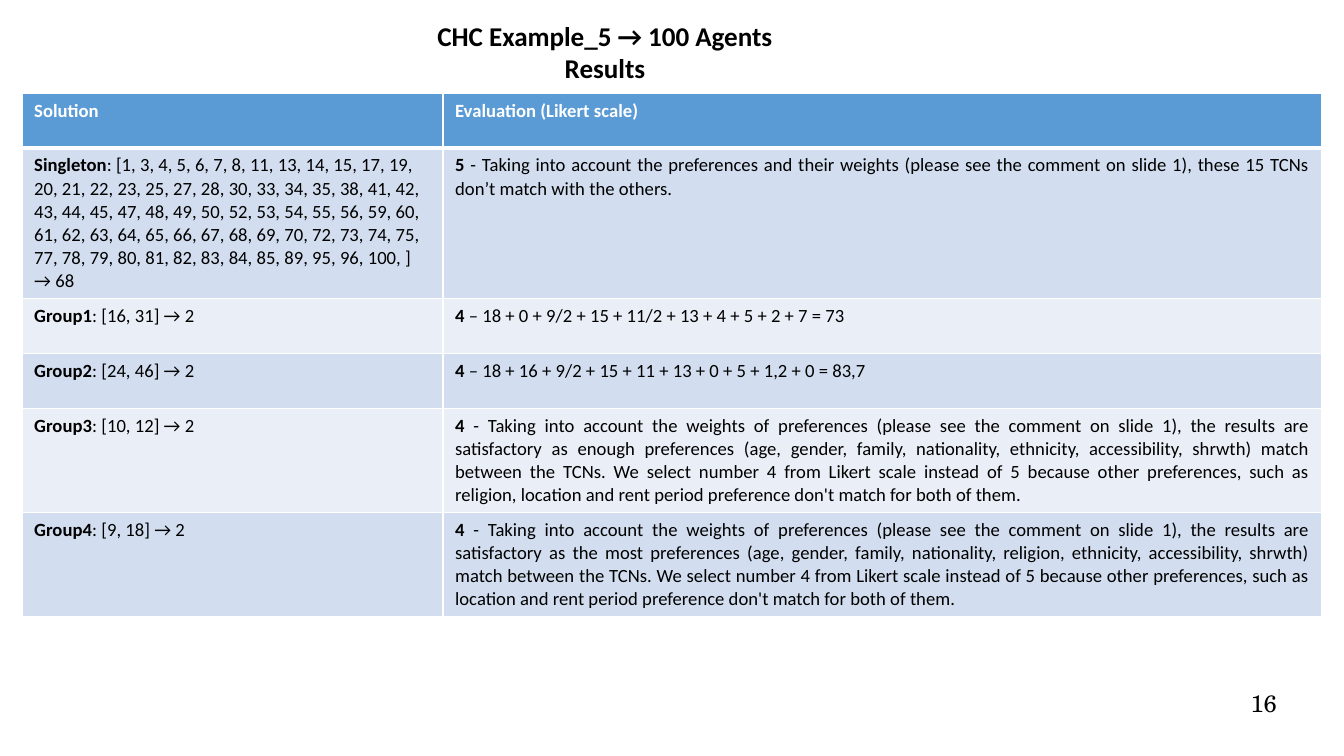
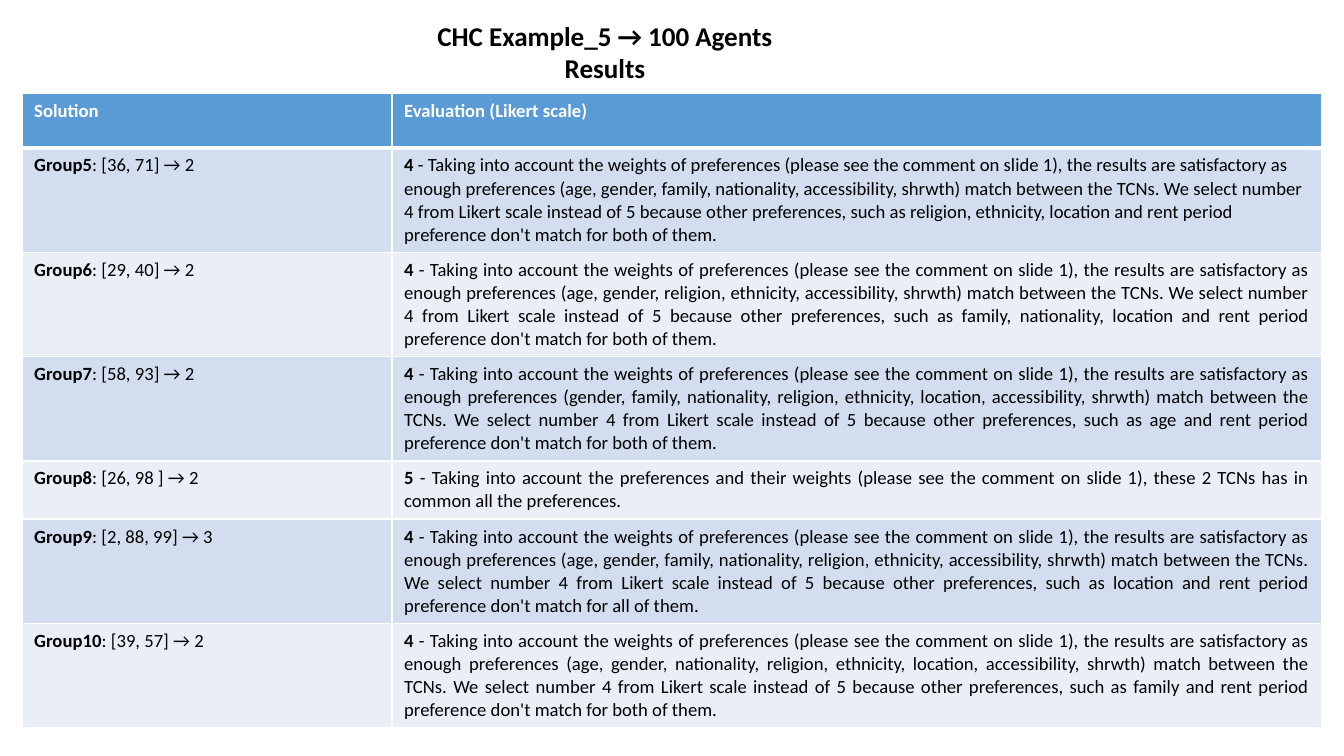
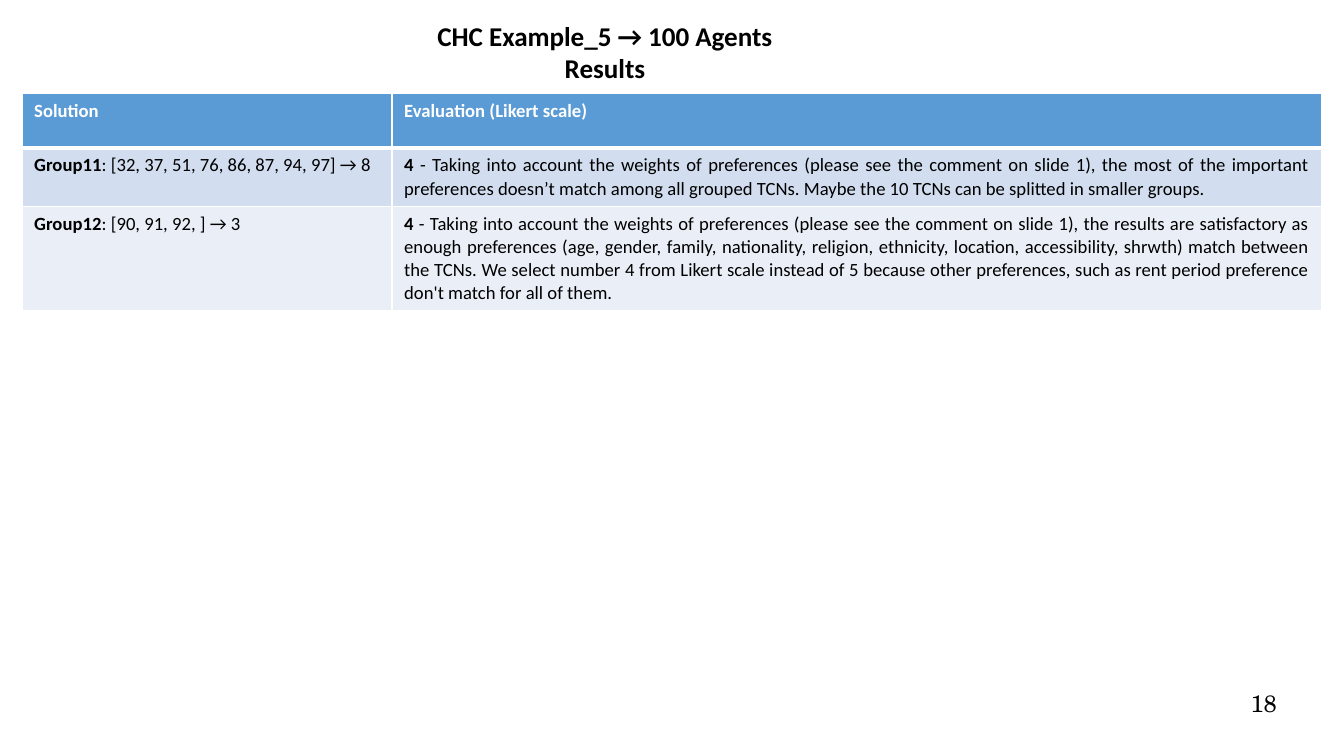
from lxml.etree import SubElement
from pptx import Presentation
from pptx.dml.color import RGBColor
from pptx.enum.text import MSO_ANCHOR, PP_ALIGN
from pptx.oxml.ns import qn
from pptx.util import Emu, Pt

# Shared look
INK = {"black": "000000", "white": "FFFFFF", "head": "5B9BD5",
       "odd": "D2DEEF", "even": "EAEFF7"}
FONT = "Calibri"
SERIF = "TeX Gyre Schola"
TITLE = "CHC Example_5 → 100 Agents\nResults"
HEADS = ("Solution", "Evaluation (Likert scale)")
LEFT, TOP, WIDE = 22, 93, 1300
# Row height in px for a given number of text lines
TALL = {1: 55, 2: 57, 4: 101, 6: 145}

NOTE = "(please see the comment on slide 1)"
WEIGHTS = f" - Taking into account the weights of preferences {NOTE}, "
PREFS = f" - Taking into account the preferences and their weights {NOTE}, "
SINGLE = (
    "1, 3, 4, 5, 6, 7, 8, 11, 13, 14, 15, 17, 19, 20, 21, 22, 23, 25, 27, 28, "
    "30, 33, 34, 35, 38, 41, 42, 43, 44, 45, 47, 48, 49, 50, 52, 53, 54, 55, "
    "56, 59, 60, 61, 62, 63, 64, 65, 66, 67, 68, 69, 70, 72, 73, 74, 75, 77, "
    "78, 79, 80, 81, 82, 83, 84, 85, 89, 95, 96, 100, ")


def px(num):
    return Emu(num * 7495)


def shade(name):
    return RGBColor.from_string(INK[name])


def match(likes, rest, who="both", share="enough"):
    """Evaluation of a group in which part of the preferences match."""
    return (f"4{WEIGHTS}the results are satisfactory as {share} preferences "
            f"({likes}, accessibility, shrwth) match between the TCNs. "
            "We select number 4 from Likert scale instead of 5 because other "
            f"preferences, such as {rest} preference don't match for {who} of them.")


# Rows: label, members, evaluation, text lines
FIRST = [
    ("Singleton", f": [{SINGLE}] → 68",
     f"5{PREFS}these 15 TCNs don’t match with the others.", 6),
    ("Group1", ": [16, 31] → 2",
     "4 – 18 + 0 + 9/2 + 15 + 11/2 + 13 + 4 + 5 + 2 + 7 = 73", 1),
    ("Group2", ": [24, 46] → 2",
     "4 – 18 + 16 + 9/2 + 15 + 11 + 13 + 0 + 5 + 1,2 + 0 = 83,7", 1),
    ("Group3", ": [10, 12] → 2",
     match("age, gender, family, nationality, ethnicity",
           "religion, location and rent period"), 4),
    ("Group4", ": [9, 18] → 2",
     match("age, gender, family, nationality, religion, ethnicity",
           "location and rent period", share="the most"), 4),
]
SECOND = [
    ("Group5", ": [36, 71] → 2",
     match("age, gender, family, nationality",
           "religion, ethnicity, location and rent period"), 4),
    ("Group6", ": [29, 40] → 2",
     match("age, gender, religion, ethnicity",
           "family, nationality, location and rent period"), 4),
    ("Group7", ": [58, 93] → 2",
     match("gender, family, nationality, religion, ethnicity, location",
           "age and rent period"), 4),
    ("Group8", ": [26, 98 ] → 2",
     f"5{PREFS}these 2 TCNs has in common all the preferences.", 2),
    ("Group9", ": [2, 88, 99] → 3",
     match("age, gender, family, nationality, religion, ethnicity",
           "location and rent period", who="all"), 4),
    ("Group10", ": [39, 57] → 2",
     match("age, gender, nationality, religion, ethnicity, location",
           "family and rent period"), 4),
]
THIRD = [
    ("Group11", ": [32, 37, 51, 76, 86, 87, 94, 97] → 8",
     f"4{WEIGHTS}the most of the important preferences doesn’t match among all "
     "grouped TCNs. Maybe the 10 TCNs can be splitted in smaller groups.", 2),
    ("Group12", ": [90, 91, 92, ] → 3",
     match("age, gender, family, nationality, religion, ethnicity, location",
           "rent period", who="all"), 4),
]


def style(run, size, bold=False, tint="black", face=FONT):
    font = run.font
    font.name, font.size, font.bold = face, Pt(size), bold
    font.color.rgb = shade(tint)


def place(shape, left, top, width, height):
    shape.left, shape.top = px(left), px(top)
    shape.width, shape.height = px(width), px(height)


def pad(frame, side, edge):
    frame.margin_left = frame.margin_right = px(side)
    frame.margin_top = frame.margin_bottom = px(edge)
    frame.vertical_anchor = MSO_ANCHOR.TOP
    frame.word_wrap = True


def add_title(slide):
    title = slide.shapes.title
    place(title, 0, 13, 1210, 79)
    frame = title.text_frame
    frame.text = TITLE
    pad(frame, 12, 6)
    for para in frame.paragraphs:
        para.alignment = PP_ALIGN.CENTER
        style(para.runs[0], 16, True)


def add_page(slide, num):
    box = slide.shapes.add_textbox(px(964), px(689), px(313), px(52))
    frame = box.text_frame
    frame.text = str(num)
    pad(frame, 0, 0)
    para = frame.paragraphs[0]
    para.alignment = PP_ALIGN.RIGHT
    style(para.runs[0], 14, face=SERIF)


def edge(cell, top, base):
    """White cell borders; top and base are widths in points."""
    props = cell._tc.get_or_add_tcPr()
    for side, width in (("L", 1), ("R", 1), ("T", top), ("B", base)):
        line = SubElement(props, qn(f"a:ln{side}"), w=str(Pt(width)))
        fill = SubElement(line, qn("a:solidFill"))
        SubElement(fill, qn("a:srgbClr"), val=INK["white"])


def fill_cell(cell, bold, plain, back, tint="black", align=PP_ALIGN.LEFT):
    cell.fill.solid()
    cell.fill.fore_color.rgb = shade(back)
    para = cell.text_frame.paragraphs[0]
    para.alignment = align
    para.text = bold
    style(para.runs[0], 11, True, tint)
    if plain:
        run = para.add_run()
        run.text = plain
        style(run, 11)


def add_grid(slide, rows, split, loose):
    """Table of groups; split is the first column's width, loose the labels set left."""
    sizes = [TALL[1]] + [TALL[row[3]] for row in rows]
    grid = slide.shapes.add_table(len(sizes), 2, px(LEFT), px(TOP),
                                  px(WIDE), px(sum(sizes))).table
    for col, width in zip(grid.columns, (split, WIDE - split)):
        col.width = px(width)
    for num, size in enumerate(sizes):
        grid.rows[num].height = px(size)
        for cell in grid.rows[num].cells:
            edge(cell, 3 if num == 1 else 1, 3 if num == 0 else 1)
    # Header row
    for col, head in enumerate(HEADS):
        fill_cell(grid.cell(0, col), head, "", "head", "white")
    # Group rows
    for num, (label, group, score, _) in enumerate(rows, 1):
        back = "odd" if num % 2 else "even"
        align = PP_ALIGN.LEFT if label in loose else PP_ALIGN.JUSTIFY
        fill_cell(grid.cell(num, 0), label, group, back)
        fill_cell(grid.cell(num, 1), score[0], score[1:], back, align=align)


def main():
    deck = Presentation()
    deck.slide_width, deck.slide_height = px(1344), px(756)
    for rows, split, page in ((FIRST, 421, 16), (SECOND, 370, None), (THIRD, 370, 18)):
        slide = deck.slides.add_slide(deck.slide_layouts[5])
        add_title(slide)
        add_grid(slide, rows, split, loose=("Group5",))
        if page:
            add_page(slide, page)
    deck.save("out.pptx")


if __name__ == "__main__":
    main()
